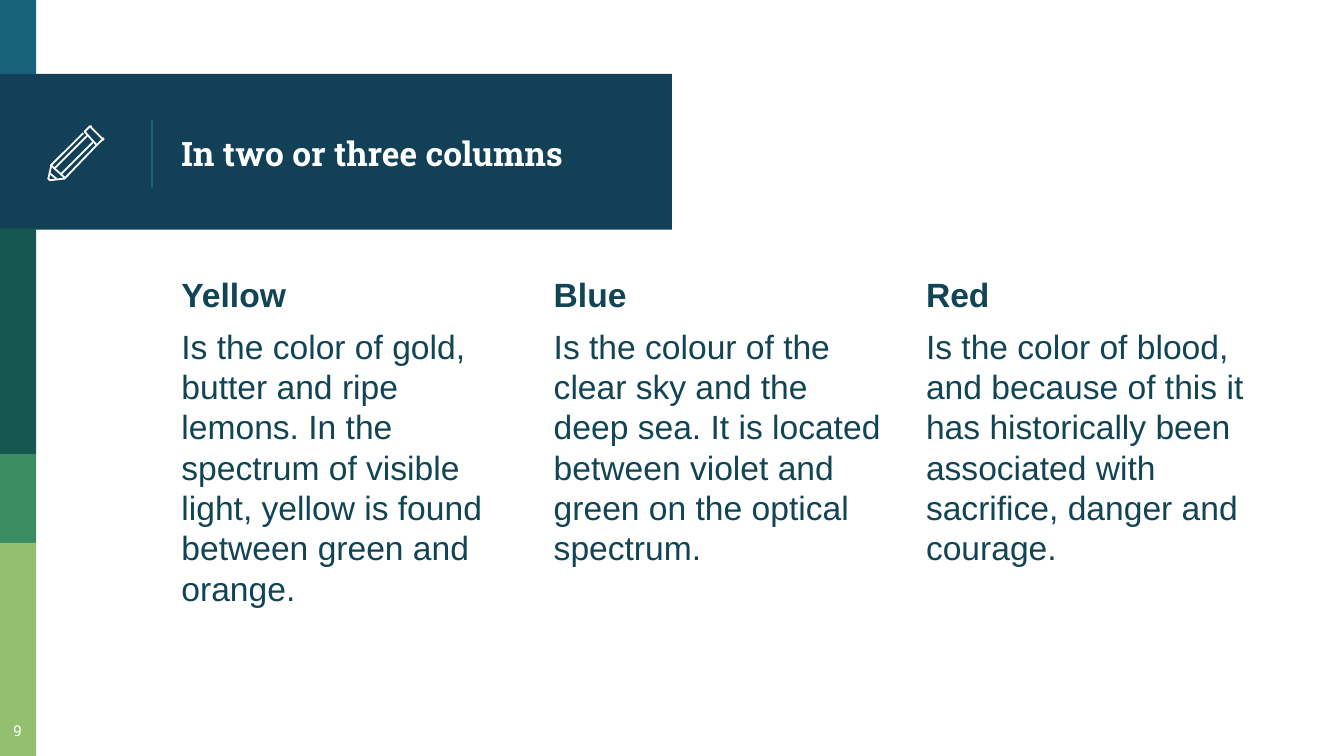
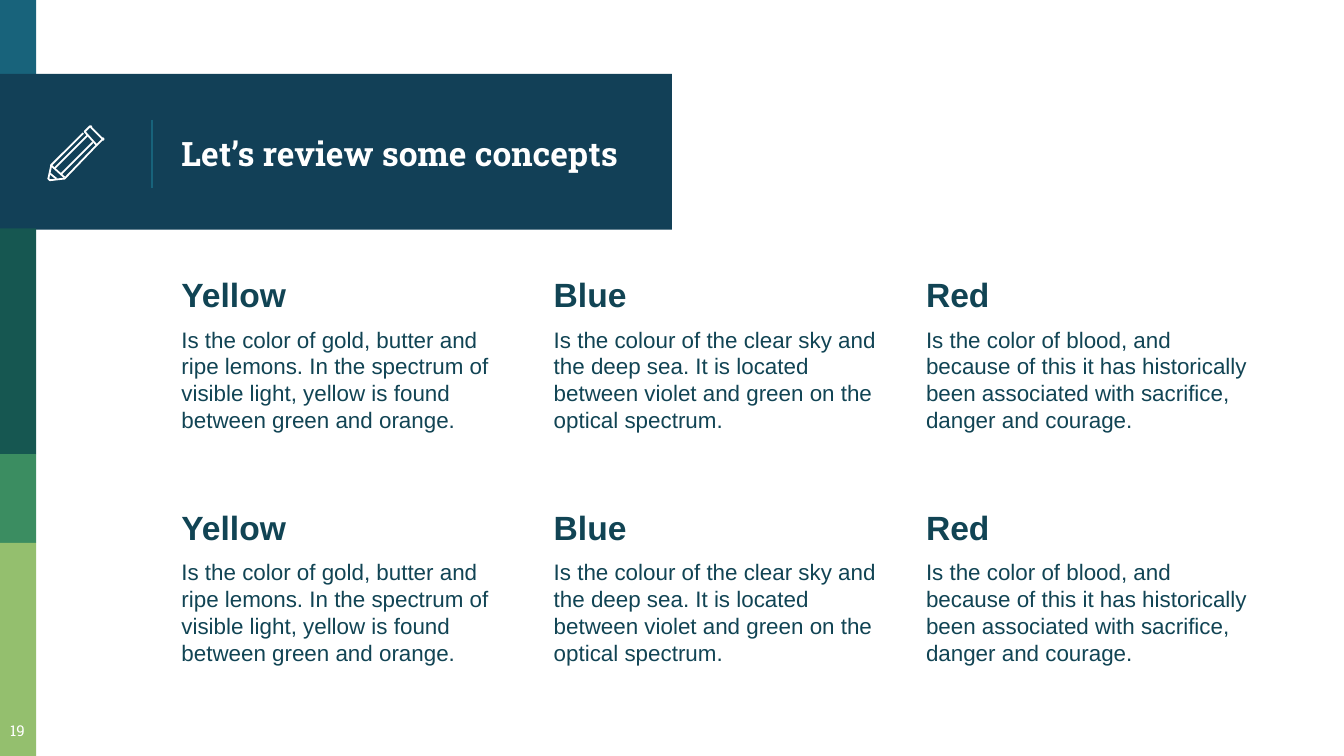
"""Build two column slides with a banded left edge and a pencil title bar."""
import copy
from typing import NamedTuple

from lxml import etree
from pptx import Presentation
from pptx import util as u
from pptx.dml.color import RGBColor
from pptx.enum import shapes, text
from pptx.oxml.ns import qn

COLORS = {
    "teal": "18637B",
    "navy": "124057",
    "forest": "165751",
    "green": "3B8D61",
    "lime": "94BF6E",
    "ink": "114454",
    "white": "FFFFFF",
}
TITLE_FONT, BODY_FONT = "Roboto Slab", "Arial"
HEADING_SIZE = 18
MAX_COLUMNS = 6
PER_ROW = 3
LEFT, TOP = 1.25, 1.94
COLUMN_STEP, ROW_STEP, COLUMN_WIDTH = 2.77, 1.73, 2.64


class Band(NamedTuple):
    """A filled rectangle, in inches, starting at the left edge."""
    top: float
    width: float
    height: float
    color: str


class Stroke(NamedTuple):
    """An outline with points in hundredths of an inch."""
    points: list[tuple[int, int]]
    closed: bool = False


class Concept(NamedTuple):
    """A heading and its explanation."""
    heading: str
    body: str


class ColumnSlide(NamedTuple):
    """The content of one slide and the size of its columns."""
    title: str
    number: int
    concepts: list[Concept]
    body_size: int
    column_height: float


BANDS = [
    Band(0, 0.27, 0.58, "teal"),
    Band(0.55, 5, 1.16, "navy"),
    Band(1.7, 0.27, 1.68, "forest"),
    Band(3.38, 0.27, 0.66, "green"),
    Band(4.04, 0.27, 1.59, "lime"),
]

PENCIL = [
    Stroke([(76, 103), (68, 95), (68, 94), (67, 94), (66, 95), (63, 98),
            (72, 108), (76, 104), (77, 104), (77, 103)], closed=True),
    Stroke([(69, 106), (45, 130)]),
    Stroke([(62, 99), (38, 123), (38, 124), (36, 133), (37, 134), (38, 134),
            (47, 133), (48, 133), (72, 108)]),
    Stroke([(41, 125), (65, 101)]),
    Stroke([(42, 133), (37, 129)]),
    Stroke([(38, 123), (48, 132)]),
]

CONCEPTS = [
    Concept("Yellow", "Is the color of gold, butter and ripe lemons. In the "
            "spectrum of visible light, yellow is found between green and "
            "orange."),
    Concept("Blue", "Is the colour of the clear sky and the deep sea. It is "
            "located between violet and green on the optical spectrum."),
    Concept("Red", "Is the color of blood, and because of this it has "
            "historically been associated with sacrifice, danger and "
            "courage. "),
]

SLIDES = [
    ColumnSlide("In two or three columns", 9, CONCEPTS, 18, 3.45),
    ColumnSlide("Let’s review some concepts", 19, CONCEPTS * 2, 12, 1.43),
]


def rgb(name: str) -> RGBColor:
    """Look up a palette colour."""
    return RGBColor.from_string(COLORS[name])


def place(sp, left: float, top: float, width: float, height: float) -> None:
    """Move and size a shape, in inches."""
    sp.left, sp.top = u.Inches(left), u.Inches(top)
    sp.width, sp.height = u.Inches(width), u.Inches(height)


def prepare_frame(sp, anchor):
    """Give a text frame wrapping, even insets and an anchor."""
    tf = sp.text_frame
    tf.word_wrap = True
    tf.auto_size = text.MSO_AUTO_SIZE.NONE
    tf.vertical_anchor = anchor
    tf.margin_left = tf.margin_right = u.Inches(0.1)
    tf.margin_top = tf.margin_bottom = u.Inches(0.1)
    return tf


def add_run(p, words: str, size: int, font: str, color: str,
            bold: bool = False) -> None:
    """Append a formatted run to a paragraph."""
    r = p.add_run()
    r.text = words
    r.font.size, r.font.name, r.font.bold = u.Pt(size), font, bold
    r.font.color.rgb = rgb(color)


def remove_bullet(p) -> None:
    """Clear the bullet and hanging indent of a paragraph."""
    p_pr = p._p.get_or_add_pPr()
    p_pr.set("marL", "0")
    p_pr.set("indent", "0")
    etree.SubElement(p_pr, qn("a:buNone"))


def extend_layout(layout) -> None:
    """Repeat the layout's body placeholder until there is one per column."""
    body = layout.placeholders[1].element
    body.xpath(".//p:ph")[0].set("type", "body")
    for i in range(1, MAX_COLUMNS):
        twin = copy.deepcopy(body)
        twin.xpath(".//p:ph")[0].set("idx", str(20 + i))
        twin.xpath(".//p:cNvPr")[0].set("id", str(20 + i))
        layout.shapes.element.append(twin)


def draw_bands(s) -> None:
    """Draw the edge bands, title bar and divider behind the text."""
    back = []
    for band in BANDS:
        sp = s.shapes.add_shape(
            shapes.MSO_SHAPE.RECTANGLE, 0, u.Inches(band.top),
            u.Inches(band.width), u.Inches(band.height))
        sp.shadow.inherit = False
        sp.fill.solid()
        sp.fill.fore_color.rgb = rgb(band.color)
        sp.line.fill.background()
        back.append(sp)
    divider = s.shapes.add_connector(
        shapes.MSO_CONNECTOR.STRAIGHT, u.Inches(1.13), u.Inches(0.89),
        u.Inches(1.13), u.Inches(1.4))
    divider.line.color.rgb = rgb("teal")
    divider.line.width = u.Pt(0.75)
    etree.SubElement(divider.element.spPr, qn("a:effectLst"))
    back.append(divider)
    for i, sp in enumerate(back):
        s.shapes.element.insert(2 + i, sp.element)


def draw_pencil(s) -> None:
    """Draw the outlined pencil as a group."""
    group = s.shapes.add_group_shape()
    for stroke in PENCIL:
        builder = group.shapes.build_freeform(
            *stroke.points[0], scale=u.Inches(0.01))
        builder.add_line_segments(stroke.points[1:], close=stroke.closed)
        sp = builder.convert_to_shape()
        sp.shadow.inherit = False
        sp.fill.background()
        sp.line.color.rgb = rgb("white")
        sp.line.width = u.Pt(0.96)


def fill_title(s, title: str) -> None:
    """Place the title on its bar."""
    sp = s.shapes.title
    place(sp, LEFT, 0.58, 3.51, 1.12)
    p = prepare_frame(sp, text.MSO_ANCHOR.MIDDLE).paragraphs[0]
    p.alignment = text.PP_ALIGN.LEFT
    add_run(p, title, HEADING_SIZE, TITLE_FONT, "white", bold=True)


def fill_column(sp, index: int, concept: Concept, size: int,
                height: float) -> None:
    """Put one concept in its cell of the grid."""
    row, column = divmod(index, PER_ROW)
    place(sp, LEFT + column * COLUMN_STEP, TOP + row * ROW_STEP,
          COLUMN_WIDTH, height)
    tf = prepare_frame(sp, text.MSO_ANCHOR.TOP)
    heading, body = tf.paragraphs[0], tf.add_paragraph()
    for p in (heading, body):
        p.space_before = u.Pt(6)
        p.line_spacing = 1.0
        remove_bullet(p)
    add_run(heading, concept.heading, HEADING_SIZE, BODY_FONT, "ink", True)
    add_run(body, concept.body, size, BODY_FONT, "ink")


def add_number(s, number: int) -> None:
    """Write the slide number at the foot of the edge bands."""
    sp = s.shapes.add_textbox(u.Inches(-0.06), u.Inches(5.27),
                              u.Inches(0.38), u.Inches(0.35))
    p = prepare_frame(sp, text.MSO_ANCHOR.TOP).paragraphs[0]
    p.alignment = text.PP_ALIGN.CENTER
    add_run(p, str(number), 8, TITLE_FONT, "white")


def build_slide(prs, layout, content: ColumnSlide) -> None:
    """Add one complete column slide."""
    s = prs.slides.add_slide(layout)
    draw_bands(s)
    fill_title(s, content.title)
    columns = list(s.placeholders)[1:]
    for i, (sp, concept) in enumerate(zip(columns, content.concepts)):
        fill_column(sp, i, concept, content.body_size, content.column_height)
    for sp in columns[len(content.concepts):]:
        s.shapes.element.remove(sp.element)
    draw_pencil(s)
    add_number(s, content.number)


def main() -> None:
    """Build and save the 16:9 presentation."""
    prs = Presentation()
    prs.slide_width = u.Inches(10)
    prs.slide_height = u.Inches(10 * 9 / 16)
    layout = prs.slide_layouts[1]
    extend_layout(layout)
    for content in SLIDES:
        build_slide(prs, layout, content)
    prs.save("out.pptx")


main()
